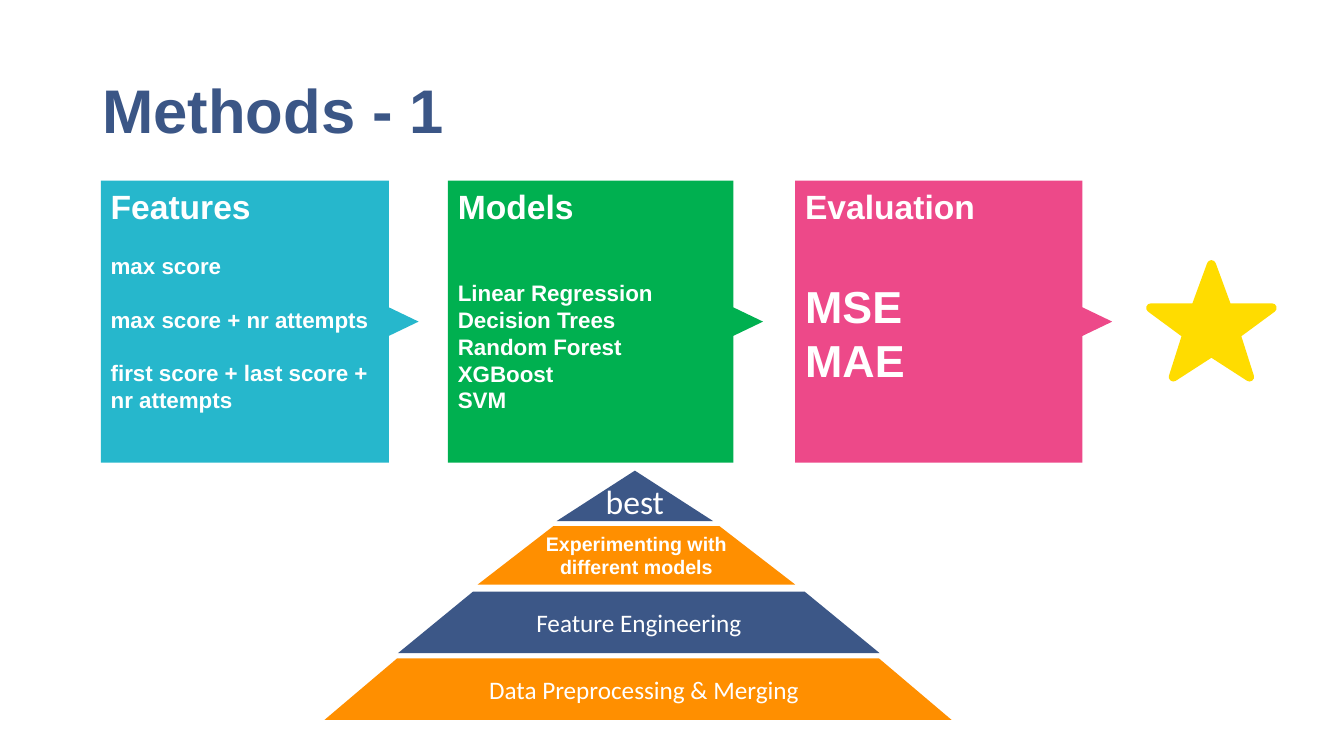
from dataclasses import dataclass

from lxml import etree
from pptx import Presentation
from pptx.dml.color import RGBColor
from pptx.enum import text as t
from pptx.oxml import ns
from pptx.util import Cm, Pt

NAVY = RGBColor(0x3B, 0x56, 0x86)
BLUE = RGBColor(0x3C, 0x57, 0x87)
AMBER = RGBColor(0xFF, 0x8F, 0x00)
PINK = RGBColor(0xED, 0x49, 0x89)
GREEN = RGBColor(0x00, 0xB0, 0x50)
TEAL = RGBColor(0x26, 0xB7, 0xCC)
GOLD = RGBColor(0xFF, 0xDC, 0x00)
WHITE = RGBColor(0xFF, 0xFF, 0xFF)

LEFT, TOP, PITCH, HIGH = 2.54, 4.55, 8.75, 7.11
NUB, HALF = 0.75, 0.36


@dataclass
class Card:
    title: str
    lines: list[str]
    color: RGBColor
    width: float
    size: int = 16
    lead: int = 38
    gap: int = 0


@dataclass
class Tier:
    lines: list[str]
    color: RGBColor
    mid: float
    top: float
    high: float
    upper: float
    lower: float
    size: int = 18
    font: str = "Calibri"
    bold: bool = False
    anchor: t.MSO_ANCHOR = t.MSO_ANCHOR.MIDDLE
    indent: float = 0


CARDS = [
    Card("Features", ["max score", "max score + nr attempts",
                      "first score + last score + nr attempts"],
         TEAL, 7.26, lead=19, gap=19),
    Card("Models", ["Linear Regression", "Decision Trees", "Random Forest",
                    "XGBoost", "SVM"], GREEN, 7.19),
    Card("Evaluation", ["MSE", "MAE"], PINK, 7.24, size=32),
]

TIERS = [
    Tier(["best"], BLUE, 16, 11.86, 1.27, 0, 3.94, size=24,
         anchor=t.MSO_ANCHOR.BOTTOM),
    Tier(["Experimenting with", "different models"], AMBER, 16.04, 13.26,
         1.47, 4.19, 8, size=14, font="Arial", bold=True),
    Tier(["Feature Engineering"], BLUE, 16.1, 14.91, 1.55, 8.36, 12.14),
    Tier(["Data Preprocessing & Merging"], AMBER, 16.08, 16.59, 1.55,
         12.14, 15.8, indent=0.3),
]


def write(frame, line: str, *, size: int, font: str = "Arial",
          bold: bool = True, color: RGBColor = WHITE, before: float = 0,
          align=t.PP_ALIGN.LEFT, indent: float = 0, first: bool = False):
    para = frame.paragraphs[0] if first else frame.add_paragraph()
    para.alignment = align
    para.space_before = Pt(before)
    if indent:
        para._p.get_or_add_pPr().set("marL", str(Cm(indent)))
    run = para.add_run()
    run.text = line
    run.font.size = Pt(size)
    run.font.name = font
    run.font.bold = bold
    run.font.color.rgb = color


def add_box(slide, left: float, top: float, width: float, high: float):
    box = slide.shapes.add_textbox(Cm(left), Cm(top), Cm(width), Cm(high))
    box.text_frame.word_wrap = True
    return box.text_frame


def add_form(slide, points: list[tuple[float, float]], color: RGBColor):
    dots = [(Cm(x), Cm(y)) for x, y in points]
    pen = slide.shapes.build_freeform(*dots[0], scale=1.0)
    pen.add_line_segments(dots[1:], close=True)
    form = pen.convert_to_shape()
    form.shadow.inherit = False
    form.fill.solid()
    form.fill.fore_color.rgb = color
    form.line.fill.background()
    return form


def add_card(slide, card: Card, left: float):
    right, end, mid = left + card.width, TOP + HIGH, TOP + HIGH / 2
    add_form(slide, [(left, TOP), (right, TOP), (right, mid - HALF),
                     (right + NUB, mid), (right, mid + HALF),
                     (right, end), (left, end)], card.color)
    frame = add_box(slide, left, TOP, 7.29, HIGH)
    write(frame, card.title, size=24, first=True)
    for i, line in enumerate(card.lines):
        write(frame, line, size=card.size,
              before=card.gap if i else card.lead)


def add_tier(slide, tier: Tier):
    base, up, low = tier.top + tier.high, tier.upper / 2, tier.lower / 2
    points = [(tier.mid - up, tier.top), (tier.mid + up, tier.top),
              (tier.mid + low, base), (tier.mid - low, base)]
    form = add_form(slide, points if up else points[1:], tier.color)
    frame = form.text_frame
    frame.word_wrap = True
    frame.vertical_anchor = tier.anchor
    frame.margin_left = frame.margin_right = 0
    frame.margin_top = frame.margin_bottom = 0
    for i, line in enumerate(tier.lines):
        write(frame, line, size=tier.size, font=tier.font, bold=tier.bold,
              align=t.PP_ALIGN.CENTER, indent=tier.indent, first=i == 0)


def add_star(slide, mid: float):
    side = [(0, 6.67), (0.4, 7.76), (1.53, 7.76), (0.62, 8.43),
            (0.96, 9.5), (0, 8.88)]
    points = [(mid + x, y) for x, y in side]
    points += [(mid - x, y) for x, y in side[-2:0:-1]]
    star = add_form(slide, points, GOLD)
    star.line.color.rgb = GOLD
    star.line.width = Pt(6.5)
    etree.SubElement(star.line._ln, ns.qn("a:round"))


def main():
    deck = Presentation()
    deck.slide_width, deck.slide_height = Cm(33.87), Cm(19.05)
    slide = deck.slides.add_slide(deck.slide_layouts[6])
    frame = add_box(slide, 2.33, 1.01, 29.21, 3.68)
    frame.vertical_anchor = t.MSO_ANCHOR.MIDDLE
    write(frame, "Methods - 1", size=44, color=NAVY, first=True)
    frame.paragraphs[0].line_spacing = 0.9
    for tier in TIERS:
        add_tier(slide, tier)
    for i, card in enumerate(CARDS):
        add_card(slide, card, LEFT + i * PITCH)
    add_star(slide, 30.53)
    deck.save("out.pptx")


if __name__ == "__main__":
    main()
